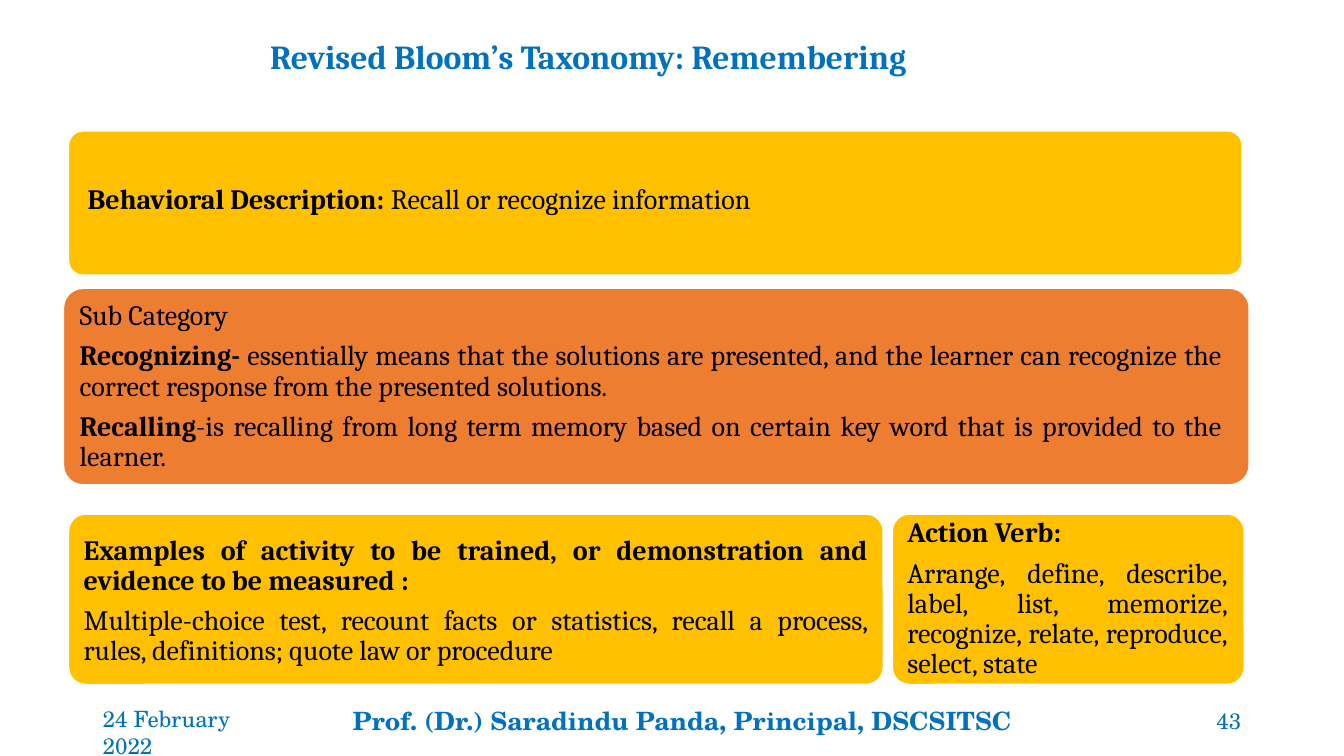
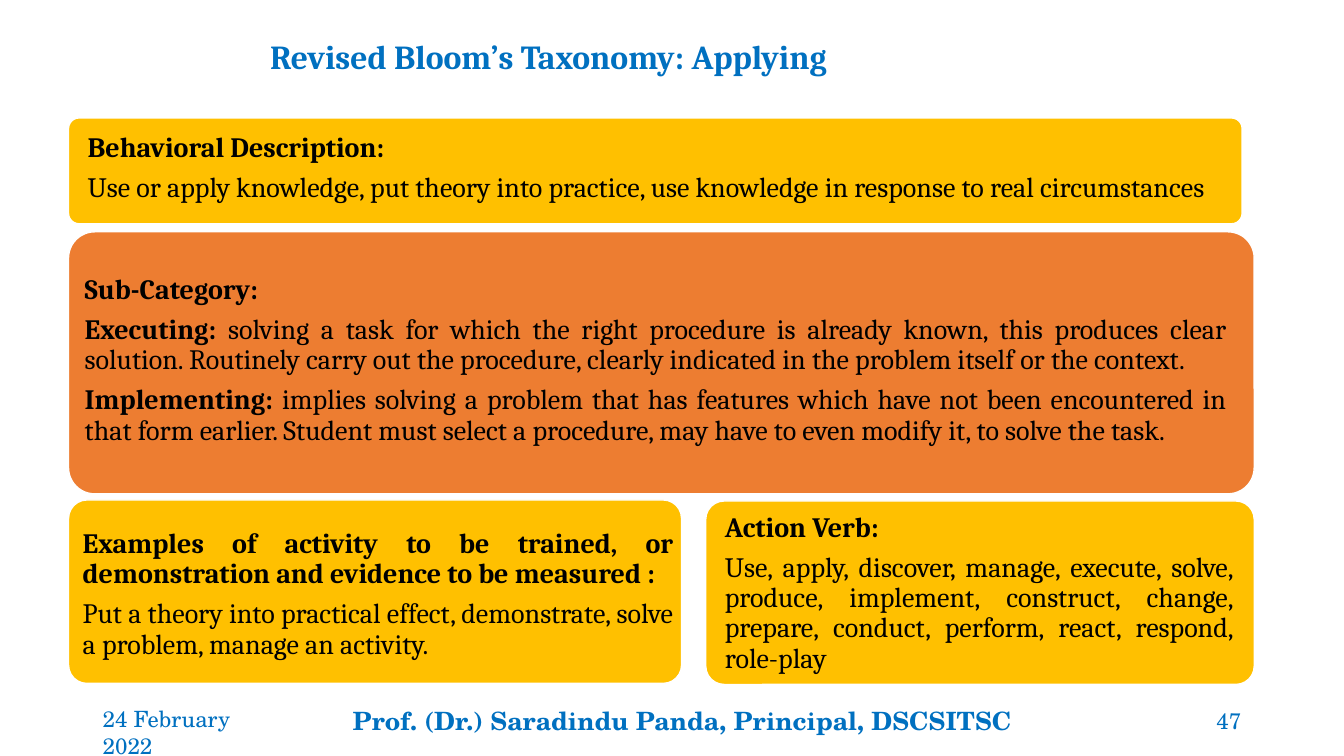
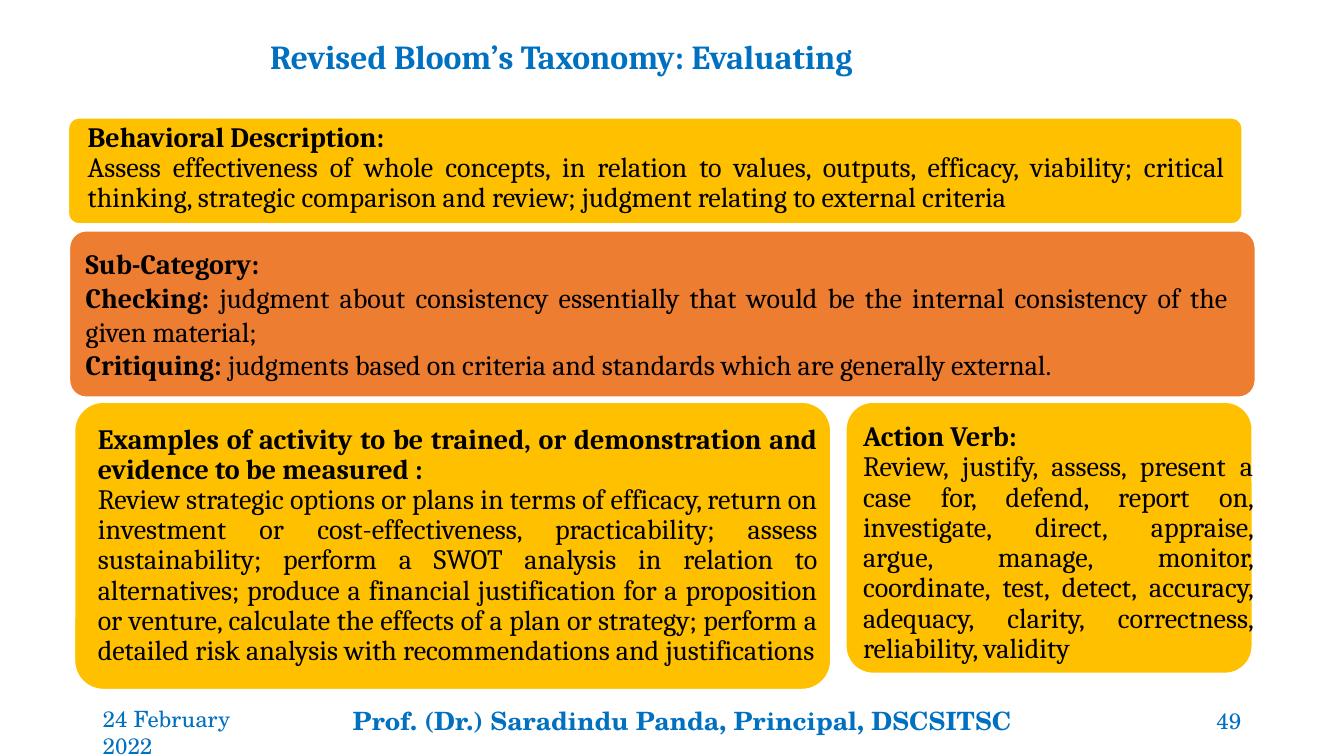
from pptx import Presentation
from pptx import util as u
from pptx.dml.color import RGBColor
from pptx.enum import shapes, text

PX = 9144  # EMU per px, 100 px to the inch
COLORS = {"blue": "0070C0", "amber": "FFC000", "orange": "ED7D31",
          "white": "FFFFFF", "black": "000000"}
HEAD_FONT, FOOT_FONT = "Cambria", "TeX Gyre Schola"
ALIGN, ANCHOR = text.PP_ALIGN, text.MSO_ANCHOR

# Fill and text inset of each kind of card
CARD_STYLES = {"behavior": ("amber", 8), "category": ("orange", 11),
               "examples": ("amber", 8), "verbs": ("amber", 8)}
BEHAVIOR = "Behavioral Description: "
EXAMPLES = "Examples of activity to be trained, or demonstration and evidence to be measured :"
VERBS = "Action Verb:"

# Cards: kind -> (box, gaps from box to text, paragraphs of (bold, plain), line spacing)
LEVELS = [
    {"name": "Remembering", "page": 43, "space_after": 7, "cards": {
        "behavior": ((68, 130, 1164, 143), (11, 0, 9, 5), [
            (BEHAVIOR, "Recall or recognize information")], 0.9),
        "category": ((63, 286, 1176, 195), (5, 4, 16, 3), [
            ("", "Sub Category"),
            ("Recognizing- ", "essentially means that the solutions are presented, and the "
             "learner can recognize the correct response from the presented solutions."),
            ("Recalling", "-is recalling from long term memory based on certain key word "
             "that is provided to the learner.")], 0.9),
        "examples": ((68, 510, 808, 169), (7, 5, 7, 1), [
            (EXAMPLES, ""),
            ("", "Multiple-choice test, recount facts or statistics, recall a process, "
             "rules, definitions; quote law or procedure")], 0.9),
        "verbs": ((885, 510, 349, 169), (7, 5, 9, 5), [
            (VERBS, ""),
            ("", "Arrange, define, describe, label, list, memorize, recognize, relate, "
             "reproduce, select, state")], 0.9)}},
    {"name": "Applying", "page": 47, "space_after": 7, "cards": {
        "behavior": ((68, 117, 1164, 105), (11, 0, 9, 5), [
            (BEHAVIOR.strip(), ""),
            ("", "Use or apply knowledge, put theory into practice, use knowledge in "
             "response to real circumstances")], 0.9),
        "category": ((68, 230, 1176, 260), (5, 0, 16, 4), [
            ("Sub-Category:", ""),
            ("Executing:", " solving a task for which the right procedure is already known, "
             "this produces clear solution. Routinely carry out the procedure, clearly "
             "indicated in the problem itself or the context."),
            ("Implementing:", " implies solving a problem that has features which have not "
             "been encountered in that form earlier. Student must select a procedure, may "
             "have to even modify it, to solve the task.")], 0.9),
        "examples": ((68, 496, 608, 182), (6, 6, 0, 0), [
            (EXAMPLES, ""),
            ("", "Put a theory into practical effect, demonstrate, solve a problem, "
             "manage an activity.")], 0.9),
        "verbs": ((700, 497, 544, 182), (11, 6, 13, 4), [
            (VERBS, ""),
            ("", "Use, apply, discover, manage, execute, solve, produce, implement, "
             "construct, change, prepare, conduct, perform, react, respond, role-play")], 0.9)}},
    {"name": "Evaluating", "page": 49, "space_after": 0, "cards": {
        "behavior": ((68, 117, 1164, 105), (11, 0, 9, 5), [
            (BEHAVIOR.strip(), ""),
            ("", "Assess effectiveness of whole concepts, in relation to values, outputs, "
             "efficacy, viability; critical thinking, strategic comparison and review; "
             "judgment relating to external criteria")], 0.9),
        "category": ((69, 229, 1176, 165), (5, 0, 16, 0), [
            ("Sub-Category:", ""),
            ("Checking:", " judgment about consistency essentially that would be the "
             "internal consistency of the given material;"),
            ("Critiquing:", " judgments based on criteria and standards which are "
             "generally external.")], 1.0),
        "examples": ((74, 399, 750, 285), (15, 9, 5, 9), [
            (EXAMPLES, ""),
            ("", "Review strategic options or plans in terms of efficacy, return on "
             "investment or cost-effectiveness, practicability; assess sustainability; "
             "perform a SWOT analysis in relation to alternatives; produce a financial "
             "justification for a proposition or venture, calculate the effects of a plan "
             "or strategy; perform a detailed risk analysis with recommendations and "
             "justifications")], 0.9),
        "verbs": ((839, 399, 403, 269), (9, 11, -9, 0), [
            (VERBS, ""),
            ("", "Review, justify, assess, present a case for, defend, report on, "
             "investigate, direct, appraise, argue, manage, monitor, coordinate, test, "
             "detect, accuracy, adequacy, clarity, correctness, reliability, validity")], 0.9)}},
]


def emu(box):
    return [length * PX for length in box]


def rgb(name):
    return RGBColor.from_string(COLORS[name])


def add_text(parent, box, paragraphs, size, font, color, align=ALIGN.LEFT,
             anchor=ANCHOR.TOP, line_spacing=1.0, space_after=0, inset=None):
    """Text box whose paragraphs are (bold, plain) pairs."""
    frame = parent.add_textbox(*emu(box)).text_frame
    frame.word_wrap = True
    frame.vertical_anchor = anchor
    if inset is not None:
        frame.margin_left = frame.margin_right = inset * PX
        frame.margin_top = frame.margin_bottom = inset * PX
    frame.text = "\n".join(bold or plain for bold, plain in paragraphs)
    for paragraph, (bold, plain) in zip(frame.paragraphs, paragraphs):
        paragraph.alignment = align
        paragraph.line_spacing = line_spacing
        paragraph.space_after = u.Pt(space_after)
        if bold and plain:
            paragraph.add_run().text = plain
        for index, run in enumerate(paragraph.runs):
            run.font.size = u.Pt(size)
            run.font.name = font
            run.font.color.rgb = rgb(color)
            run.font.bold = bool(bold) and index == 0


def add_title(slide, box, name):
    add_text(slide.shapes, box, [(f"Revised Bloom’s Taxonomy: {name}", "")], 24, HEAD_FONT,
             "blue", ALIGN.JUSTIFY, ANCHOR.BOTTOM, 1.07, 8)


def add_card(slide, box, gaps, paragraphs, line_spacing, space_after, fill, inset):
    """Rounded panel grouped with its text."""
    group = slide.shapes.add_group_shape().shapes
    panel = group.add_shape(shapes.MSO_SHAPE.ROUNDED_RECTANGLE, *emu(box))
    panel.adjustments[0] = 0.1
    panel.shadow.inherit = False
    panel.fill.solid()
    panel.fill.fore_color.rgb = rgb(fill)
    panel.line.color.rgb = rgb("white")
    panel.line.width = u.Pt(1)
    left, top, width, height = box
    before, above, after, below = gaps
    text_box = (left + before, top + above, width - before - after, height - above - below)
    add_text(group, text_box, paragraphs, 20, HEAD_FONT, "black", ALIGN.JUSTIFY,
             ANCHOR.MIDDLE, line_spacing, space_after, inset)


def add_footer(slide, box, page):
    left, top, width, height = box
    add_text(slide.shapes, (left, top, 199, height), [("", "24 February 2022")],
             16, FOOT_FONT, "blue")
    add_text(slide.shapes, (left + 248, top, 681, height),
             [("Prof. (Dr.) Saradindu Panda, Principal, DSCSITSC", "")], 18, FOOT_FONT, "blue")
    add_text(slide.shapes, (left + width - 145, top, 145, height), [("", str(page))],
             16, FOOT_FONT, "blue", ALIGN.RIGHT, ANCHOR.MIDDLE)


def add_level_slide(presentation, level):
    slide = presentation.slides.add_slide(presentation.slide_layouts[6])
    add_title(slide, (258, 33, 1003, 48), level["name"])
    for kind, card in level["cards"].items():
        add_card(slide, *card, level["space_after"], *CARD_STYLES[kind])
    add_footer(slide, (92, 695, 1149, 40), level["page"])


def main():
    presentation = Presentation()
    presentation.slide_width, presentation.slide_height = emu((1333, 750))
    for level in LEVELS:
        add_level_slide(presentation, level)
    presentation.save("out.pptx")


if __name__ == "__main__":
    main()
